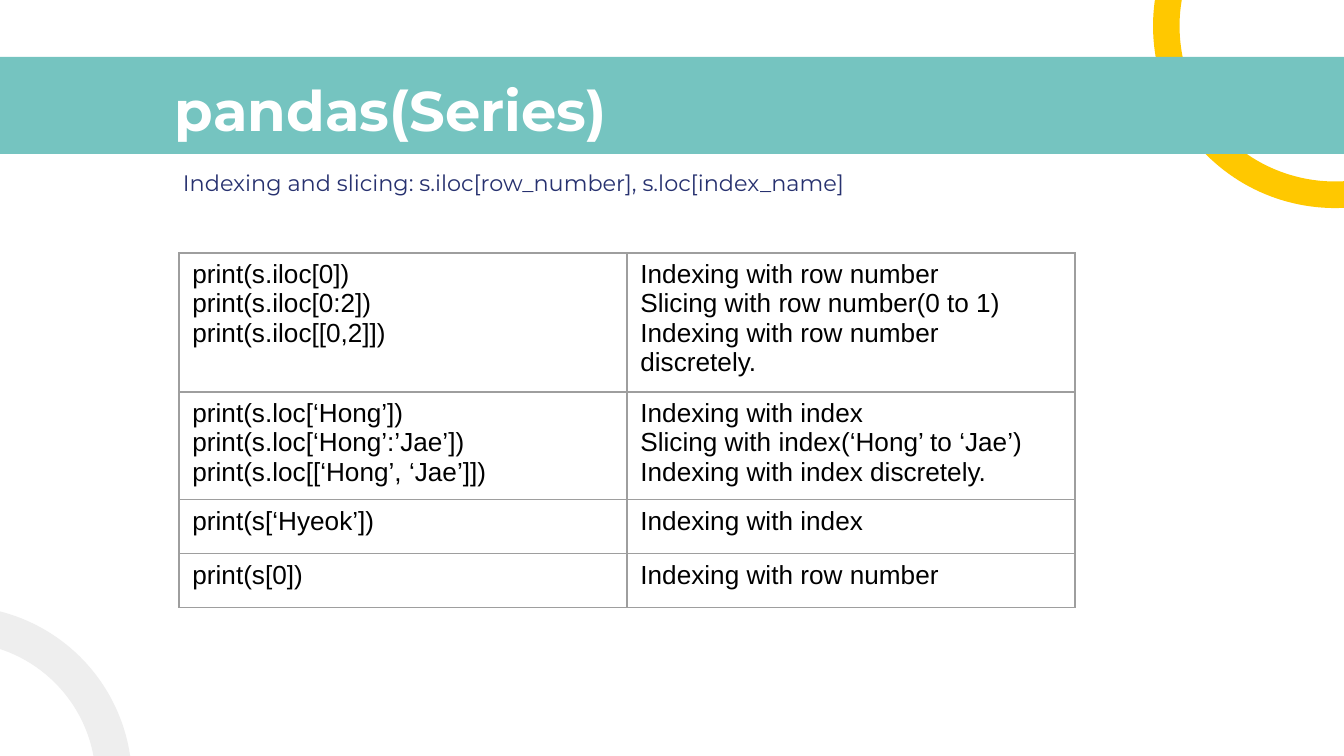
from pptx import Presentation
from pptx.dml.color import RGBColor
from pptx.enum.shapes import MSO_SHAPE
from pptx.enum.text import MSO_ANCHOR
from pptx.oxml import parse_xml
from pptx.oxml.ns import nsdecls
from pptx.util import Emu, Pt

RECTANGLE = MSO_SHAPE.RECTANGLE
BLOCK_ARC = MSO_SHAPE.BLOCK_ARC
TOP = MSO_ANCHOR.TOP
EMU_PER_PX = 914400 / 134.4
BORDER_SIDES = ("lnL", "lnR", "lnT", "lnB")

TITLE = {"name": "Montserrat", "size": 30, "bold": True, "color": "FFFFFF"}
SUBTITLE = {"name": "Montserrat", "size": 12, "bold": False, "color": "27316F"}
BODY = {"name": "Arial", "size": 14, "bold": False, "color": "000000"}

ROW_HEIGHTS = (131, 102, 54, 54)
COLUMN_WIDTH = 448
EXAMPLES = [
    (["print(s.iloc[0])", "print(s.iloc[0:2])", "print(s.iloc[[0,2]])"],
     ["Indexing with row number", "Slicing with row number(0 to 1)",
      "Indexing with row number discretely."]),
    (["print(s.loc[‘Hong’])", "print(s.loc[‘Hong’:’Jae’])", "print(s.loc[[‘Hong’, ‘Jae’]])"],
     ["Indexing with index", "Slicing with index(‘Hong’ to ‘Jae’)",
      "Indexing with index discretely."]),
    (["print(s[‘Hyeok’])"], ["Indexing with index"]),
    (["print(s[0])"], ["Indexing with row number"]),
]


def px(length):
    return Emu(round(length * EMU_PER_PX))


def color(value):
    return RGBColor.from_string(value)


class SlideBuilder:
    border_color = "9E9E9E"
    border_width = Pt(0.75)
    text_margin = 13

    def __init__(self, slide):
        self.slide = slide

    def shape(self, kind, box, fill, rotation=0, adjustments=()):
        shape = self.slide.shapes.add_shape(kind, *map(px, box))
        shape.shadow.inherit = False
        shape.fill.solid()
        shape.fill.fore_color.rgb = color(fill)
        shape.line.fill.background()
        shape.rotation = rotation
        for index, value in enumerate(adjustments):
            shape.adjustments[index] = value

    def paragraphs(self, text_frame, lines, style):
        for index, line in enumerate(lines):
            paragraph = text_frame.paragraphs[0] if index == 0 else text_frame.add_paragraph()
            run = paragraph.add_run()
            run.text = line
            formats = {"name": style["name"], "size": Pt(style["size"]), "bold": style["bold"]}
            for attribute, value in formats.items():
                setattr(run.font, attribute, value)
            run.font.color.rgb = color(style["color"])

    def text(self, box, line, style, indent=0):
        text_frame = self.slide.shapes.add_textbox(*map(px, box)).text_frame
        margin = px(self.text_margin)
        formats = {"word_wrap": True, "vertical_anchor": TOP, "margin_left": margin,
                   "margin_right": margin, "margin_top": margin, "margin_bottom": margin}
        for attribute, value in formats.items():
            setattr(text_frame, attribute, value)
        self.paragraphs(text_frame, [line], style)
        if indent:
            properties = text_frame.paragraphs[0]._p.get_or_add_pPr()
            properties.set("marL", str(px(indent)))
            properties.set("indent", "0")

    def borders(self, cell):
        properties = cell._tc.get_or_add_tcPr()
        for position, side in enumerate(BORDER_SIDES):
            properties.insert(position, parse_xml(
                f'<a:{side} {nsdecls("a")} w="{self.border_width}"><a:solidFill>'
                f'<a:srgbClr val="{self.border_color}"/></a:solidFill></a:{side}>'))

    def table(self, left, top, column_width, row_heights, rows, style):
        columns = len(rows[0])
        box = (left, top, columns * column_width, sum(row_heights))
        table = self.slide.shapes.add_table(len(rows), columns, *map(px, box)).table
        table.first_row = table.horz_banding = False
        for column in table.columns:
            column.width = px(column_width)
        for row, height, contents in zip(table.rows, row_heights, rows):
            row.height = px(height)
            for cell, lines in zip(row.cells, contents):
                cell.fill.background()
                self.borders(cell)
                self.paragraphs(cell.text_frame, lines, style)


def main():
    presentation = Presentation()
    presentation.slide_width = px(1344)
    presentation.slide_height = px(756)
    builder = SlideBuilder(presentation.slides.add_slide(presentation.slide_layouts[6]))

    builder.shape(BLOCK_ARC, (1153, -156, 364, 364), "FFC800", 180, (159.04, 7.22, 0.073))
    builder.shape(RECTANGLE, (-23, 57, 1390, 97), "75C4C0")
    builder.shape(BLOCK_ARC, (-219, 606, 351, 351), "EEEEEE", 74.3, (125.82, 166.85, 0.103))
    builder.text((162, 63, 1137, 85), "pandas(Series)", TITLE)
    builder.text((103, 156, 1137, 223),
                 "Indexing and slicing: s.iloc[row_number], s.loc[index_name]", SUBTITLE, 67)
    builder.table(179, 253, COLUMN_WIDTH, ROW_HEIGHTS, EXAMPLES, BODY)

    presentation.save("out.pptx")


if __name__ == "__main__":
    main()
